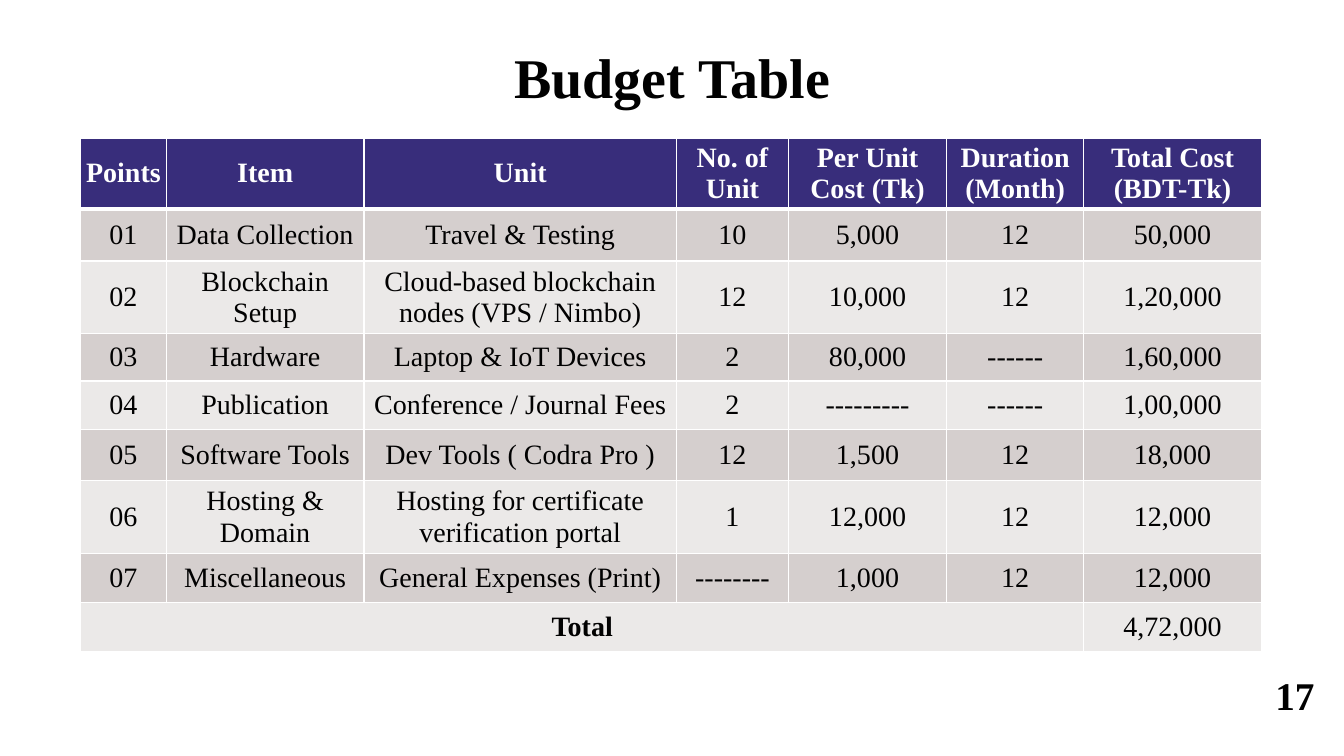
from lxml.etree import SubElement
from pptx import Presentation
from pptx.dml.color import RGBColor
from pptx.enum.text import MSO_ANCHOR, MSO_AUTO_SIZE, PP_ALIGN
from pptx.oxml.ns import qn
from pptx.util import Inches, Pt

TITLE = "Budget Table"
PAGE = "17"
HEAD = ("Points", "Item", "Unit", "No. of Unit", "Per Unit Cost (Tk)",
        "Duration (Month)", "Total Cost (BDT-Tk)")
ITEMS = [
    ("01", "Data Collection", "Travel & Testing", "10", "5,000", "12", "50,000"),
    ("02", "Blockchain Setup", "Cloud-based blockchain nodes (VPS / Nimbo)",
     "12", "10,000", "12", "1,20,000"),
    ("03", "Hardware", "Laptop & IoT Devices", "2", "80,000", "------", "1,60,000"),
    ("04", "Publication", "Conference / Journal Fees", "2", "---------", "------",
     "1,00,000"),
    ("05", "Software Tools", "Dev Tools ( Codra Pro )", "12", "1,500", "12", "18,000"),
    ("06", "Hosting & Domain", "Hosting for certificate verification portal",
     "1", "12,000", "12", "12,000"),
    ("07", "Miscellaneous", "General Expenses (Print)", "--------", "1,000", "12",
     "12,000"),
]
TOTAL = ("Total", "", "", "", "", "", "4,72,000")
ROWS = [HEAD, *ITEMS, TOTAL]
WIDTHS = (0.85, 1.96, 3.1, 1.11, 1.57, 1.36, 1.76)
HEIGHTS = (0.7, 0.52, 0.72, 0.47, 0.48, 0.51, 0.72, 0.49, 0.49)
FONT = "Times New Roman"
INK = RGBColor(0x01, 0x01, 0x01)
WHITE = RGBColor(0xFF, 0xFF, 0xFF)
NAVY = RGBColor(0x38, 0x2D, 0x7B)
BANDS = (RGBColor(0xEB, 0xE9, 0xE8), RGBColor(0xD5, 0xCF, 0xCE))


def write(frame, text, size, bold=True, color=INK, align=PP_ALIGN.CENTER):
    para = frame.paragraphs[0]
    para.alignment = align
    run = para.add_run()
    run.text = text
    font = run.font
    font.name, font.size, font.bold = FONT, Pt(size), bold
    font.color.rgb = color


def edge(cell, row):
    props = cell._tc.get_or_add_tcPr()
    thick = {(0, "B"), (1, "T")}
    for spot, side in enumerate("LRTB"):
        width = Pt(3 if (row, side) in thick else 1)
        line = props.makeelement(qn(f"a:ln{side}"), {"w": str(width)})
        fill = SubElement(line, qn("a:solidFill"))
        SubElement(fill, qn("a:srgbClr"), val=str(WHITE))
        props.insert(spot, line)


def place(shape, left, top, width, height):
    shape.left, shape.top = Inches(left), Inches(top)
    shape.width, shape.height = Inches(width), Inches(height)


def budget(slide):
    table = slide.shapes.add_table(
        len(ROWS), len(HEAD), Inches(0.8), Inches(1.37),
        Inches(sum(WIDTHS)), Inches(sum(HEIGHTS))).table
    for col, width in zip(table.columns, WIDTHS):
        col.width = Inches(width)
    last = len(ROWS) - 1
    table.cell(last, 0).merge(table.cell(last, len(HEAD) - 2))
    for r, (texts, height) in enumerate(zip(ROWS, HEIGHTS)):
        table.rows[r].height = Inches(height)
        for c, text in enumerate(texts):
            cell = table.cell(r, c)
            cell.fill.solid()
            cell.fill.fore_color.rgb = BANDS[r % 2] if r else NAVY
            edge(cell, r)
            if cell.is_spanned:
                continue
            cell.vertical_anchor = MSO_ANCHOR.MIDDLE
            cell.margin_left = cell.margin_right = Inches(0.03)
            cell.margin_top = cell.margin_bottom = Inches(0.02)
            bold = r == 0 or text == "Total"
            write(cell.text_frame, text, 20, bold, INK if r else WHITE)


def main():
    deck = Presentation()
    deck.slide_width, deck.slide_height = Inches(13.33), Inches(7.5)
    slide = deck.slides.add_slide(deck.slide_layouts[5])
    title = slide.shapes.title
    place(title, 2.78, 0.37, 7.77, 0.77)
    title.text_frame.auto_size = MSO_AUTO_SIZE.NONE
    title.text_frame.vertical_anchor = MSO_ANCHOR.MIDDLE
    write(title.text_frame, TITLE, 40)
    budget(slide)
    page = slide.shapes.add_textbox(0, 0, 0, 0)
    place(page, 12.55, 6.61, 0.65, 0.57)
    page.text_frame.word_wrap = True
    write(page.text_frame, PAGE, 28, align=PP_ALIGN.LEFT)
    deck.save("out.pptx")


if __name__ == "__main__":
    main()
